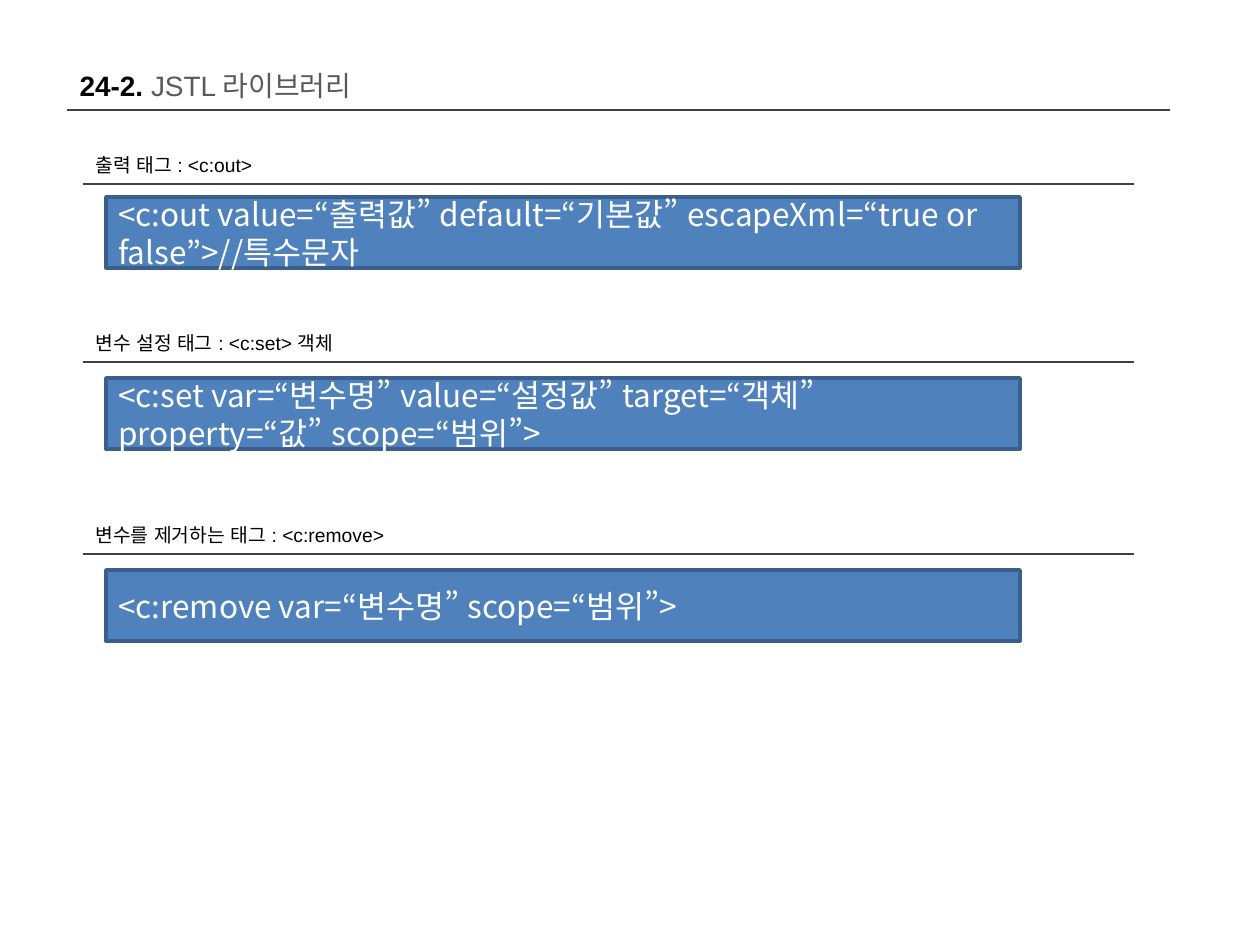
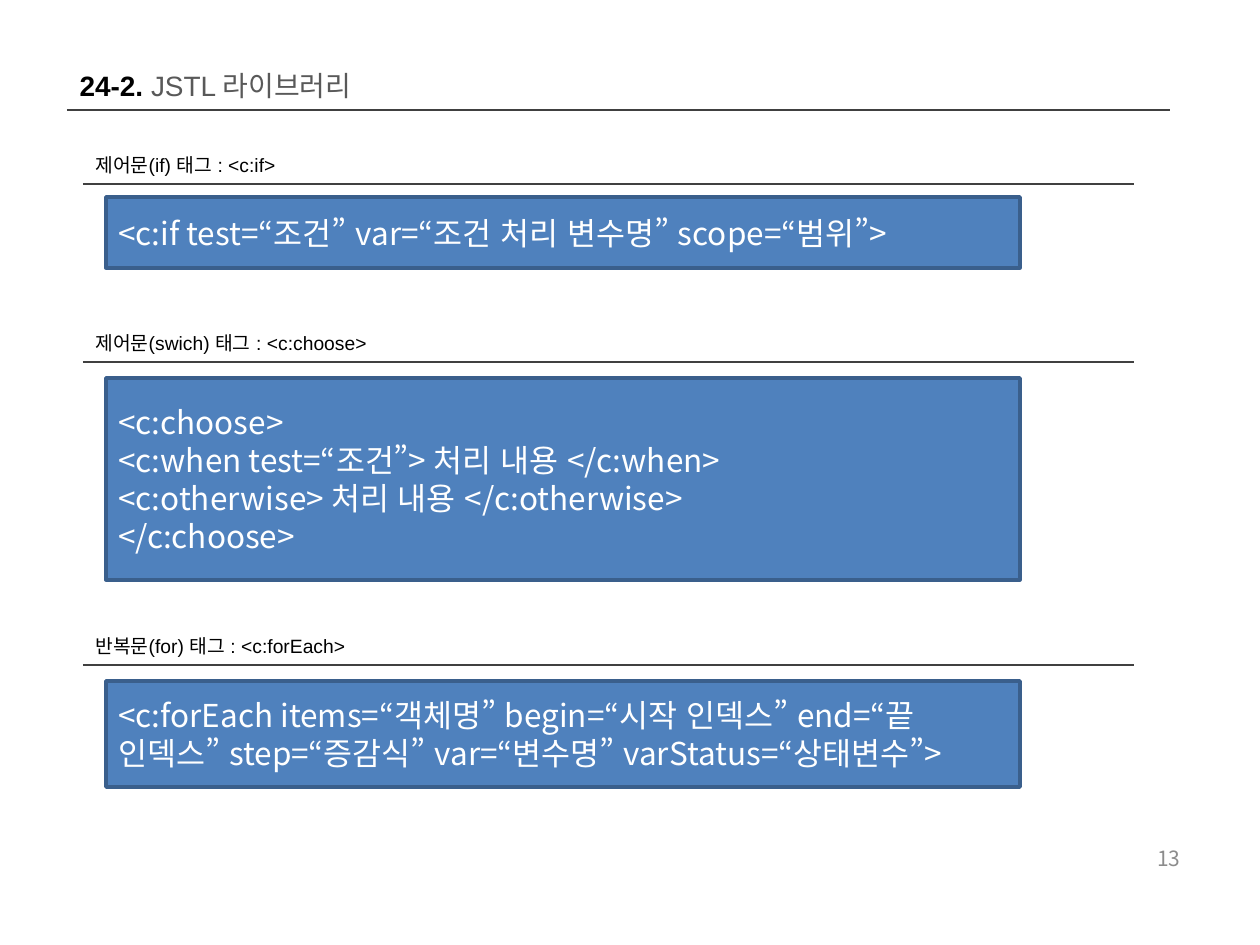
from dataclasses import dataclass

from lxml.etree import SubElement
from pptx import Presentation
from pptx.dml.color import RGBColor
from pptx.enum.lang import MSO_LANGUAGE_ID as Lang
from pptx.enum.shapes import MSO_CONNECTOR as Conn, MSO_SHAPE as Shape
from pptx.enum.text import MSO_ANCHOR as Anchor, MSO_AUTO_SIZE as Fit, PP_ALIGN as Align
from pptx.oxml.ns import qn
from pptx.util import Emu, Inches, Pt

# Shared style
COLORS = {
    "text": "000000", "title": "595959", "rule": "404040", "page": "8C8C8C",
    "box": "4F81BD", "border": "3A5F8C", "code": "FFFFFF",
}
SANS, KOREAN = "Arial", "Noto Sans CJK KR"
LABEL_H = 37


@dataclass
class Section:
    label: str
    code: list[str]
    rule_y: int
    box_h: int = 71
    gap: int = 16


def px(n: float) -> Emu:
    return Emu(round(n * Inches(1) / 126))


def color(name: str) -> RGBColor:
    return RGBColor.from_string(COLORS[name])


def add_run(p, text: str, *, size: int, fill: str, font: str = SANS, bold: bool = False):
    r = p.add_run()
    r.text = text
    f = r.font
    f.size, f.bold, f.name = Pt(size), bold, font
    f.language_id = Lang.KOREAN
    f.color.rgb = color(fill)
    SubElement(f._element, qn("a:ea")).set("typeface", KOREAN)


def setup_frame(tf, anchor=Anchor.TOP, fit=Fit.NONE):
    tf.word_wrap, tf.vertical_anchor, tf.auto_size = True, anchor, fit


def add_rule(s, x1: int, x2: int, y: int):
    c = s.shapes.add_connector(Conn.STRAIGHT, px(x1), px(y), px(x2), px(y))
    c.line.color.rgb, c.line.width = color("rule"), Pt(1)
    SubElement(c._element.spPr, qn("a:effectLst"))


def add_title(s, number: str, text: str):
    sp = s.shapes.title
    sp.left, sp.top, sp.width, sp.height = px(67), px(62), px(1104), px(47)
    setup_frame(sp.text_frame, fit=Fit.SHAPE_TO_FIT_TEXT)
    p = sp.text_frame.paragraphs[0]
    p.alignment = Align.LEFT
    add_run(p, number, size=16, fill="text", bold=True)
    add_run(p, text, size=16, fill="title")
    add_rule(s, 67, 1170, 110)


def add_section(s, sec: Section):
    # Label resting on its rule
    add_rule(s, 83, 1134, sec.rule_y)
    sp = s.shapes.add_textbox(px(83), px(sec.rule_y - LABEL_H), px(1050), px(LABEL_H))
    setup_frame(sp.text_frame, fit=Fit.SHAPE_TO_FIT_TEXT)
    add_run(sp.text_frame.paragraphs[0], sec.label, size=11, fill="text")

    # Code box
    sp = s.shapes.add_shape(Shape.RECTANGLE, px(106), px(sec.rule_y + sec.gap),
                            px(914), px(sec.box_h))
    sp.shadow.inherit = False
    sp.fill.solid()
    sp.fill.fore_color.rgb = color("box")
    sp.line.color.rgb, sp.line.width = color("border"), Pt(2)
    tf = sp.text_frame
    setup_frame(tf, Anchor.MIDDLE)
    for i, line in enumerate(sec.code):
        p = tf.add_paragraph() if i else tf.paragraphs[0]
        p.alignment = Align.LEFT
        add_run(p, line, size=18, fill="code", font=KOREAN)


def add_page_number(s, number: int):
    sp = s.shapes.add_textbox(px(900), px(833), px(293), px(50))
    setup_frame(sp.text_frame, Anchor.MIDDLE)
    p = sp.text_frame.paragraphs[0]
    p.alignment = Align.RIGHT
    add_run(p, str(number), size=12, fill="page", font=KOREAN)


def add_slide(prs, sections: list[Section], page: int | None = None):
    s = prs.slides.add_slide(prs.slide_layouts[5])
    add_title(s, "24-2. ", "JSTL 라이브러리")
    for sec in sections:
        add_section(s, sec)
    if page:
        add_page_number(s, page)


prs = Presentation()
prs.slide_width, prs.slide_height = Inches(10), Inches(7.5)

# Output and variable tags
add_slide(prs, [
    Section("출력 태그 : <c:out>",
            ["<c:out value=“출력값” default=“기본값” escapeXml=“true or false”>//특수문자"],
            184, gap=13),
    Section("변수 설정 태그 : <c:set> 객체",
            ["<c:set var=“변수명” value=“설정값” target=“객체” property=“값” scope=“범위”>"],
            362),
    Section("변수를 제거하는 태그 : <c:remove>",
            ["<c:remove var=“변수명” scope=“범위”>"], 554),
])

# Control flow tags
add_slide(prs, [
    Section("제어문(if) 태그 : <c:if>",
            ["<c:if test=“조건” var=“조건 처리 변수명” scope=“범위”>"], 184, gap=13),
    Section("제어문(swich) 태그 : <c:choose>",
            ["<c:choose>",
             "<c:when test=“조건”> 처리 내용 </c:when>",
             "<c:otherwise> 처리 내용 </c:otherwise>",
             "</c:choose>"], 362, box_h=202),
    Section("반복문(for) 태그 : <c:forEach>",
            ["<c:forEach items=“객체명” begin=“시작 인덱스” end=“끝 인덱스” "
             "step=“증감식” var=“변수명” varStatus=“상태변수”>"], 665, box_h=106),
], page=13)

prs.save("out.pptx")
